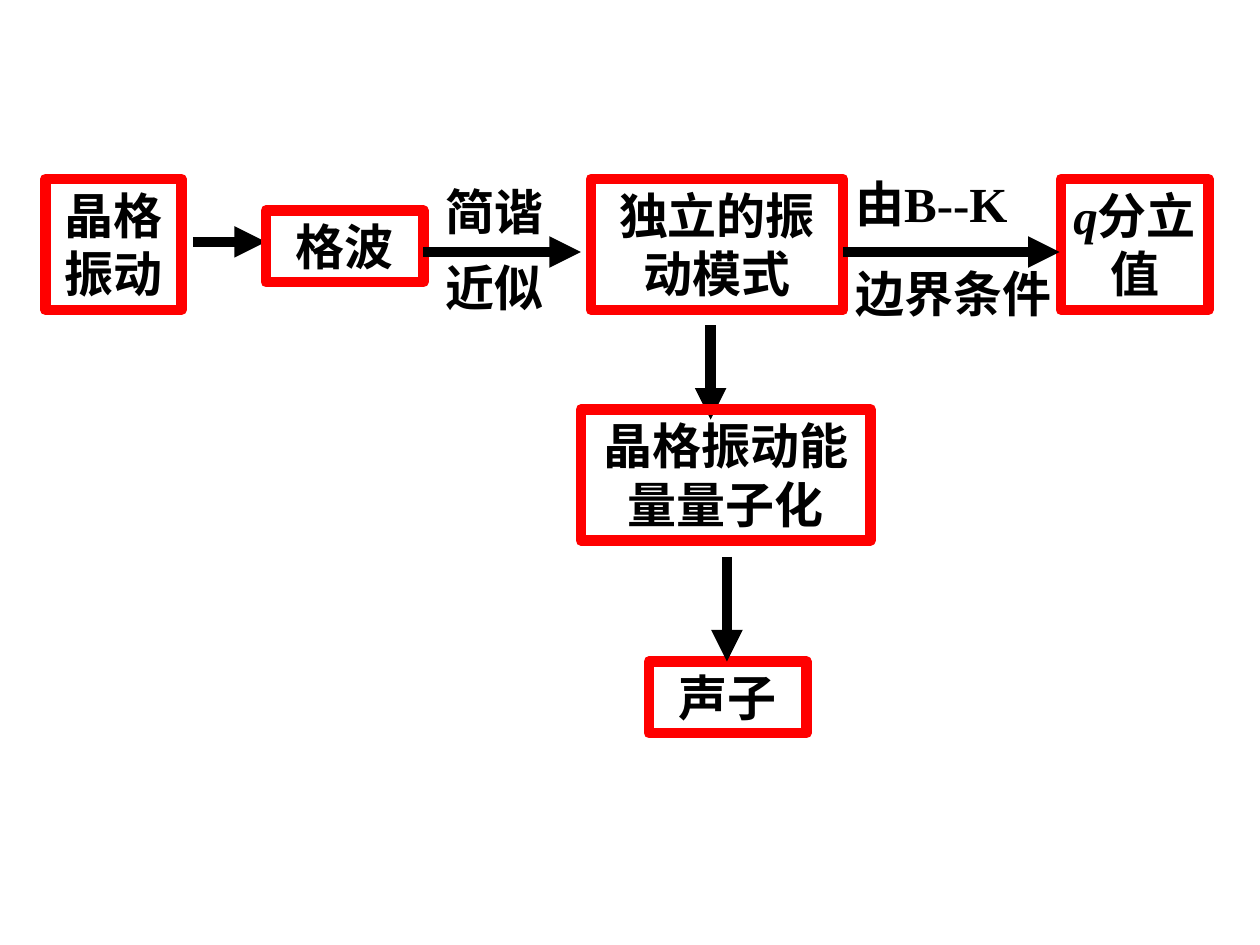
from lxml import etree
from pptx import Presentation
from pptx.dml.color import RGBColor
from pptx.enum.shapes import MSO_CONNECTOR, MSO_SHAPE
from pptx.enum.text import MSO_ANCHOR, MSO_AUTO_SIZE, PP_ALIGN
from pptx.oxml.ns import qn
from pptx.util import Inches, Pt

RED = RGBColor(0xFF, 0x00, 0x00)
BLACK = RGBColor(0x00, 0x00, 0x00)
LEFT, CENTER = PP_ALIGN.LEFT, PP_ALIGN.CENTER
TOP = MSO_ANCHOR.TOP
FIT_SHAPE = MSO_AUTO_SIZE.SHAPE_TO_FIT_TEXT
RECTANGLE = MSO_SHAPE.RECTANGLE
STRAIGHT = MSO_CONNECTOR.STRAIGHT

STROKE = Pt(6)
FONT = {"name": "Times New Roman", "size": Pt(28), "bold": True}
FRAME = {"word_wrap": True, "auto_size": FIT_SHAPE, "vertical_anchor": TOP}
ONE_LINE, TWO_LINES = 0.57, 1.04


def write(frame, paragraphs, align, spacing=None):
    """Fill a frame; each paragraph is a list of (text, italic) runs."""
    for attribute, value in FRAME.items():
        setattr(frame, attribute, value)
    for index, runs in enumerate(paragraphs):
        paragraph = frame.add_paragraph() if index else frame.paragraphs[0]
        paragraph.alignment = align
        if index:
            paragraph.space_before = Pt(17.5)
        if spacing:
            paragraph.line_spacing = spacing
        for text, italic in runs:
            run = paragraph.add_run()
            run.text = text
            for attribute, value in FONT.items():
                setattr(run.font, attribute, value)
            run.font.italic = italic
            run.font.color.rgb = BLACK


def add_concept(slide, x, y, width, height, *runs):
    concept = slide.shapes.add_shape(
        RECTANGLE, Inches(x), Inches(y), Inches(width), Inches(height))
    concept.shadow.inherit = False
    concept.fill.background()
    concept.line.color.rgb = RED
    concept.line.width = STROKE
    write(concept.text_frame, [runs], CENTER)


def add_condition(slide, x, y, width, height, lines, spacing=None):
    condition = slide.shapes.add_textbox(
        Inches(x), Inches(y), Inches(width), Inches(height))
    write(condition.text_frame, [[(line, False)] for line in lines], LEFT, spacing)


def add_arrow(slide, x, y, across=0, down=0):
    arrow = slide.shapes.add_connector(
        STRAIGHT, Inches(x), Inches(y), Inches(x + across), Inches(y + down))
    arrow.line.color.rgb = BLACK
    arrow.line.width = STROKE
    etree.SubElement(arrow.line._get_or_add_ln(), qn("a:tailEnd"), type="triangle")
    etree.SubElement(arrow._element.spPr, qn("a:effectLst"))


def add_wave_row(slide, x, y):
    """Lattice vibration to discrete q values, from left to right."""
    add_concept(slide, x, y, 1.08, TWO_LINES, ("晶格振动", False))
    add_arrow(slide, x + 1.17, y + 0.5, across=0.58)
    add_concept(slide, x + 1.75, y + 0.25, 1.25, ONE_LINE, ("格波", False))
    add_arrow(slide, x + 3, y + 0.58, across=1.25)
    add_condition(slide, x + 3.08, y - 0.17, 1.17, 1.32, ["简谐近似"], 1.3)
    add_concept(slide, x + 4.33, y, 2, TWO_LINES, ("独立的振动模式", False))
    add_condition(slide, x + 6.33, y - 0.09, 1.83, 1.28, ["由B--K", "边界条件"])
    add_concept(slide, x + 8.06, y, 1.17, TWO_LINES, ("q", True), ("分立值", False))
    add_arrow(slide, x + 6.33, y + 0.58, across=1.72)


def add_phonon_branch(slide, x, y):
    """Independent modes to phonons, from top to bottom."""
    add_arrow(slide, x + 1.03, y, down=0.75)
    add_concept(slide, x, y + 0.67, 2.3, TWO_LINES, ("晶格振动能量量子化", False))
    add_concept(slide, x + 0.54, y + 2.67, 1.25, ONE_LINE, ("声子", False))
    add_arrow(slide, x + 1.16, y + 1.84, down=0.83)


def main():
    presentation = Presentation()
    presentation.slide_width = Inches(10)
    presentation.slide_height = Inches(7.5)
    slide = presentation.slides.add_slide(presentation.slide_layouts[6])
    add_wave_row(slide, 0.36, 1.42)
    add_phonon_branch(slide, 4.61, 2.58)
    presentation.save("out.pptx")


if __name__ == "__main__":
    main()
